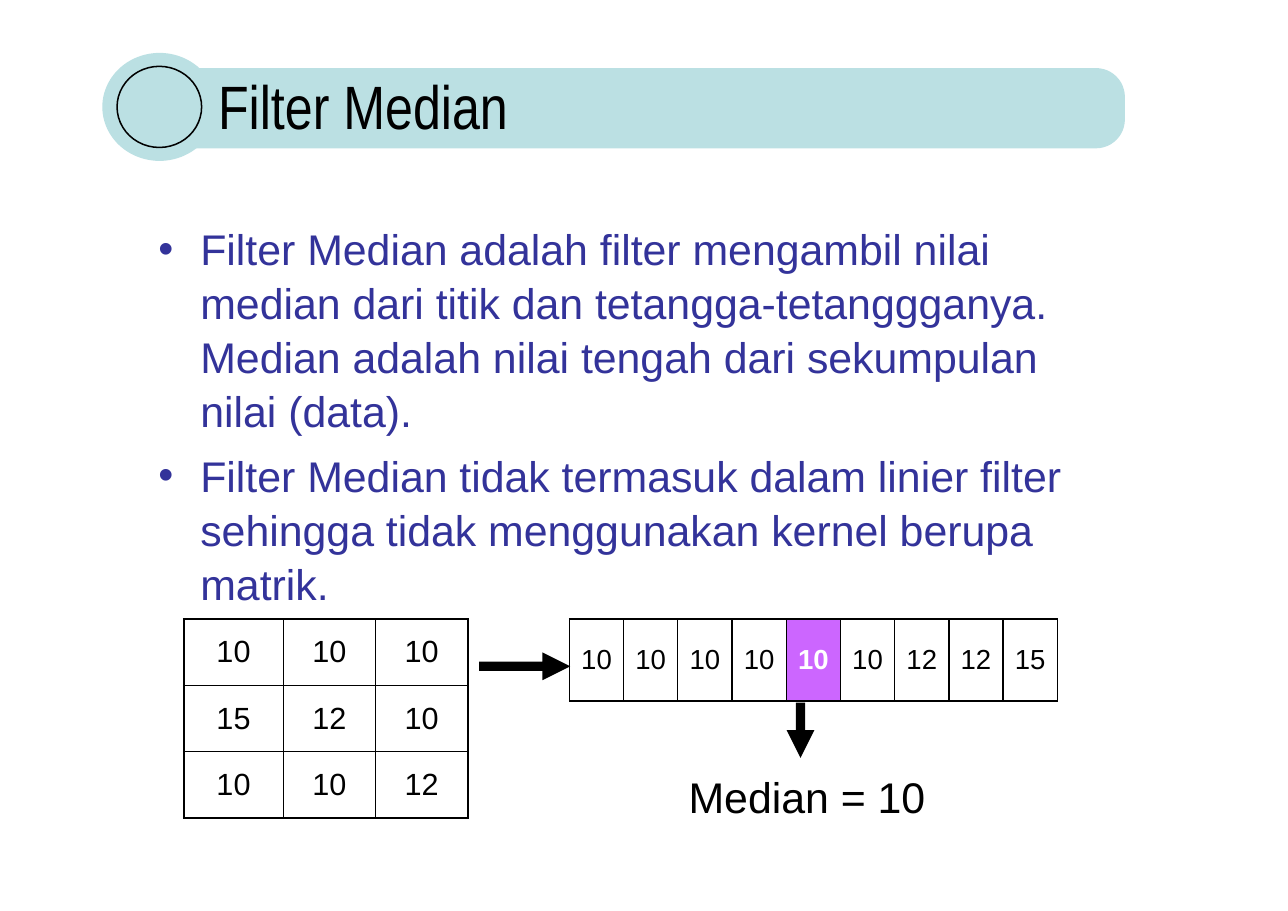
from dataclasses import dataclass

from lxml import etree
from pptx import Presentation
from pptx import util as u
from pptx.dml.color import RGBColor
from pptx.enum import shapes, text
from pptx.oxml.ns import qn

KIND = shapes.MSO_SHAPE
ALIGN = text.PP_ALIGN
ANCHOR = text.MSO_ANCHOR


@dataclass(frozen=True)
class Theme:
    head: str = "Arial Narrow"
    font: str = "Arial"
    band: str = "BBE0E3"
    ink: str = "000000"
    blue: str = "33339A"
    mark: str = "CC66FF"
    white: str = "FFFFFF"
    title: int = 40
    body: int = 28
    grid: int = 20
    row: int = 18
    thin: float = 1
    thick: float = 1.5


def place(shape, x, y, w, h):
    shape.left, shape.top, shape.width, shape.height = map(u.Cm, (x, y, w, h))


def edge(cell, width):
    """Draw the cell's borders; width maps L, R, T and B to points."""
    props = cell._tc.get_or_add_tcPr()
    for i, side in enumerate("LRTB"):
        line = etree.Element(qn(f"a:ln{side}"), w=str(u.Pt(width[side])))
        fill = etree.SubElement(line, qn("a:solidFill"))
        etree.SubElement(fill, qn("a:srgbClr"), val=Theme.ink)
        props.insert(i, line)


class Page:
    def __init__(self, deck, theme):
        self.theme = theme
        self.slide = deck.slides.add_slide(deck.slide_layouts[1])
        self.shapes = self.slide.shapes

    def say(self, par, words, size, color, font=None, bold=False):
        """Add one formatted run to the paragraph."""
        run = par.add_run()
        run.text = words
        run.font.name = font or self.theme.font
        run.font.size = u.Pt(size)
        run.font.bold = bold
        run.font.color.rgb = RGBColor.from_string(color)

    def frame(self, shape):
        """Give the shape a top-anchored text frame with no margins."""
        box = shape.text_frame
        box.word_wrap = True
        box.auto_size = text.MSO_AUTO_SIZE.NONE
        box.vertical_anchor = ANCHOR.TOP
        box.margin_left = box.margin_right = box.margin_bottom = 0
        box.margin_top = u.Cm(0.03)
        return box

    def shape(self, kind, x, y, w, h, fill=None, adjust=()):
        item = self.shapes.add_shape(kind, *map(u.Cm, (x, y, w, h)))
        item.shadow.inherit = False
        for i, value in enumerate(adjust):
            item.adjustments[i] = value
        if fill:
            item.fill.solid()
            item.fill.fore_color.rgb = RGBColor.from_string(fill)
            item.line.fill.background()
        else:
            item.fill.background()
            item.line.color.rgb = RGBColor.from_string(self.theme.ink)
            item.line.width = u.Pt(self.theme.thin)

    def title(self, words):
        """Draw the banner and lay the title over it."""
        t = self.theme
        self.shape(KIND.ROUNDED_RECTANGLE, 3.6, 1.57, 22.34, 1.85, t.band, [0.36])
        self.shape(KIND.OVAL, 2.36, 1.22, 2.64, 2.49, t.band)
        self.shape(KIND.OVAL, 2.7, 1.53, 1.95, 1.87)
        head = self.shapes.title
        self.shapes.element.append(head.element)
        place(head, 5.03, 1.55, 19, 1.78)
        par = self.frame(head).paragraphs[0]
        par.alignment = ALIGN.LEFT
        par.space_before = u.Pt(1)
        self.say(par, words, t.title, t.ink, t.head)

    def bullets(self, items):
        body = self.slide.placeholders[1]
        place(body, 3.63, 5.05, 20.93, 8.61)
        box = self.frame(body)
        for i, words in enumerate(items):
            par = box.add_paragraph() if i else box.paragraphs[0]
            par.space_before = u.Pt(6.7 if i else 1)
            par.line_spacing = 1.05
            props = par._p.get_or_add_pPr()
            props.set("marL", str(u.Cm(0.99)))
            props.set("indent", str(u.Cm(-0.97)))
            self.say(par, words, self.theme.body, self.theme.blue)

    def label(self, words, x, y, w, h):
        box = self.shapes.add_textbox(*map(u.Cm, (x, y, w, h)))
        par = self.frame(box).paragraphs[0]
        par.space_before = u.Pt(1)
        self.say(par, words, self.theme.body, self.theme.ink)

    def table(self, data, x, y, cols, high, size, ends, mark=None):
        """Draw a grid of numbers; ends is the left and right border width."""
        t = self.theme
        area = map(u.Cm, (x, y, sum(cols), high * len(data)))
        grid = self.shapes.add_table(len(data), len(cols), *area).table
        grid.first_row = grid.horz_banding = False
        for col, wide in zip(grid.columns, cols):
            col.width = u.Cm(wide)
        for r, line in enumerate(data):
            grid.rows[r].height = u.Cm(high)
            for c, value in enumerate(line):
                cell = grid.cell(r, c)
                edge(cell, {
                    "L": ends if c == 0 else t.thin,
                    "R": ends if c == len(cols) - 1 else t.thin,
                    "T": t.thick if r == 0 else t.thin,
                    "B": t.thick if r == len(data) - 1 else t.thin,
                })
                cell.margin_left = cell.margin_right = 0
                cell.margin_top = cell.margin_bottom = 0
                cell.vertical_anchor = ANCHOR.MIDDLE
                hit = c == mark
                if hit:
                    cell.fill.solid()
                    cell.fill.fore_color.rgb = RGBColor.from_string(t.mark)
                else:
                    cell.fill.background()
                par = cell.text_frame.paragraphs[0]
                par.alignment = ALIGN.CENTER
                color = t.white if hit else t.ink
                self.say(par, str(value), size, color, bold=hit)


def main():
    deck = Presentation()
    deck.slide_width, deck.slide_height = u.Cm(29.7), u.Cm(21)
    theme = Theme()
    page = Page(deck, theme)

    page.title("Filter Median")
    page.bullets([
        "Filter Median adalah filter mengambil nilai median dari titik dan "
        "tetangga-tetanggganya. Median adalah nilai tengah dari sekumpulan "
        "nilai (data).",
        "Filter Median tidak termasuk dalam linier filter sehingga tidak "
        "menggunakan kernel berupa matrik.",
    ])

    window = [[10, 10, 10], [15, 12, 10], [10, 10, 12]]
    ranked = sorted(sum(window, []))
    mid = len(ranked) // 2
    page.table(window, 4.24, 14.27, [2.29, 2.13, 2.13], 1.53,
               theme.grid, theme.thick)
    page.table([ranked], 13.13, 14.27, [1.25] * len(ranked), 1.9,
               theme.row, theme.thin, mid)

    page.shape(KIND.RIGHT_ARROW, 11.05, 15.04, 2.1, 0.64, theme.ink, [0.33, 1])
    page.shape(KIND.DOWN_ARROW, 18.14, 16.2, 0.64, 1.27, theme.ink, [0.33, 1])
    page.label(f"Median = {ranked[mid]}", 15.88, 17.73, 5.54, 1.27)

    deck.save("out.pptx")


if __name__ == "__main__":
    main()
